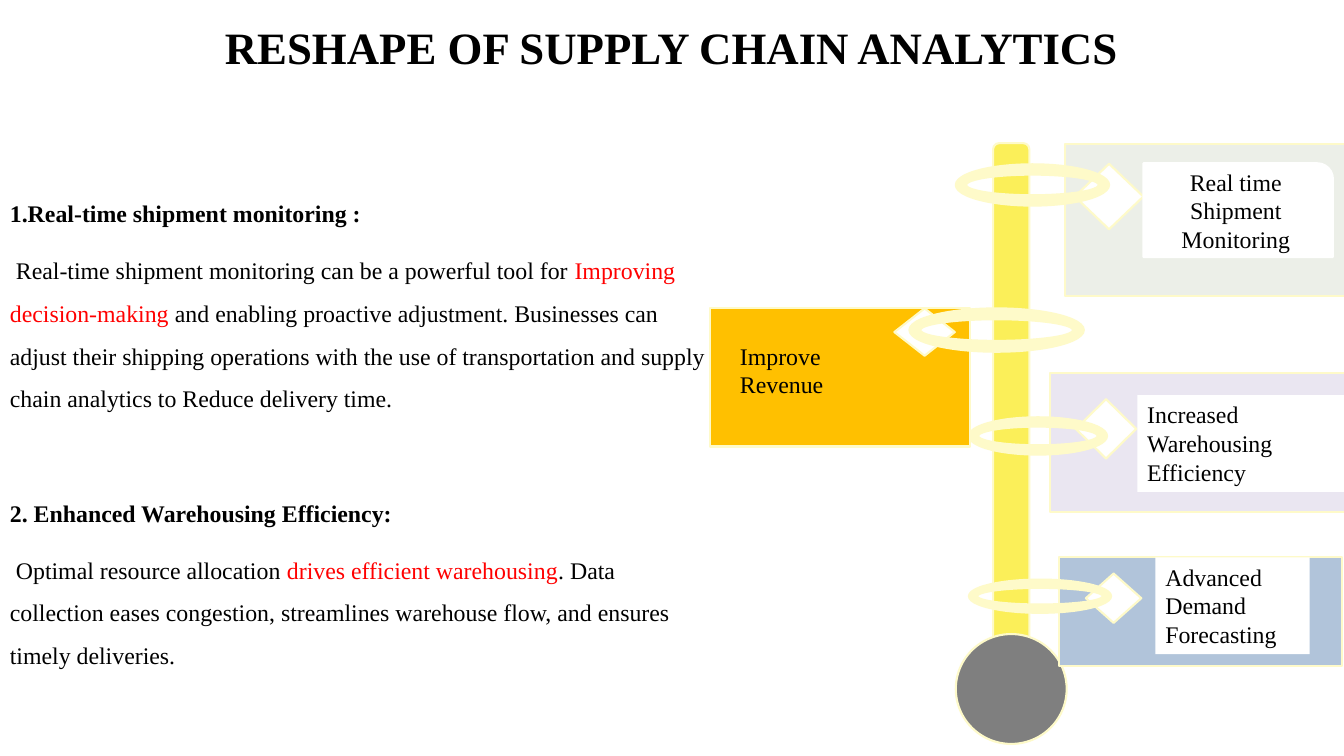
"""Build the supply chain analytics slide with its signpost of benefits."""
from dataclasses import dataclass

from pptx import Presentation
from pptx import util as u
from pptx.dml.color import RGBColor
from pptx.enum import shapes, text


@dataclass(frozen=True)
class Theme:
    font: str = "Times New Roman"
    title_size: int = 32
    text_size: int = 17
    ink: str = "000000"
    accent: str = "FF0000"
    paper: str = "FFFFFF"
    edge: str = "FEFAC9"
    pole: str = "FBEF59"
    base: str = "7F7F7F"
    sage: str = "ECEFE8"
    lilac: str = "EAE6F1"
    blue: str = "B1C4DA"
    amber: str = "FFC000"


theme = Theme()
kinds = shapes.MSO_SHAPE
CELL = u.Inches(0.1)


def cells(*counts):
    return [round(count * CELL) for count in counts]


def paint(shape, fill, line):
    shape.shadow.inherit = False
    for part, tone in ((shape.fill, fill), (shape.line.fill, line)):
        if tone is None:
            part.background()
        else:
            part.solid()
            part.fore_color.rgb = RGBColor.from_string(tone)
    if line is not None:
        shape.line.width = u.Pt(1.5)


deck = Presentation()
deck.slide_width, deck.slide_height = u.Inches(13.33), u.Inches(7.5)
page = deck.slides.add_slide(deck.slide_layouts[5])

title = page.shapes.title
title.left, title.top, title.width, title.height = cells(14.7, 1.8, 103.8, 6.3)
title.text_frame.text = "RESHAPE OF SUPPLY CHAIN ANALYTICS"
title.text_frame.vertical_anchor = text.MSO_ANCHOR.MIDDLE
para = title.text_frame.paragraphs[0]
para.alignment = text.PP_ALIGN.CENTER
para.line_spacing = 0.9
para.font.name, para.font.size, para.font.bold = theme.font, u.Pt(theme.title_size), True
para.font.color.rgb = RGBColor.from_string(theme.ink)

article = [
    (0, True, [("1.Real-time shipment monitoring :", theme.ink)]),
    (10, False, [
        ("Real-time shipment monitoring can be a powerful tool for ", theme.ink),
        ("Improving decision-making ", theme.accent),
        ("and enabling proactive adjustment. Businesses can adjust their shipping "
         "operations with the use of transportation and supply chain analytics to "
         "Reduce delivery time.", theme.ink),
    ]),
    (51, True, [("2. Enhanced Warehousing Efficiency:", theme.ink)]),
    (10, False, [
        ("Optimal resource allocation ", theme.ink),
        ("drives efficient warehousing", theme.accent),
        (". Data collection eases congestion, streamlines warehouse flow, and "
         "ensures timely deliveries.", theme.ink),
    ]),
]
body = page.shapes.add_textbox(*cells(0, 17.8, 71.4, 56.4)).text_frame
body.word_wrap = True
for index, (gap, heading, spans) in enumerate(article):
    para = body.add_paragraph() if index else body.paragraphs[0]
    para.line_spacing = 1.5
    para.space_before = u.Pt(gap)
    if not heading:
        para._p.get_or_add_pPr().set("indent", str(u.Inches(0.06)))
    para.font.name, para.font.size, para.font.bold = theme.font, u.Pt(theme.text_size), heading
    for words, tone in spans:
        span = para.add_run()
        span.text = words
        span.font.color.rgb = RGBColor.from_string(tone)

pole = page.shapes.add_shape(kinds.ROUNDED_RECTANGLE, *cells(98.5, 14.2, 3.6, 54.8))
paint(pole, theme.pole, theme.edge)
base = page.shapes.add_shape(kinds.OVAL, *cells(94.8, 62.9, 11, 10.9))
paint(base, theme.base, theme.edge)

middle, top = text.MSO_ANCHOR.MIDDLE, text.MSO_ANCHOR.TOP
center, left = text.PP_ALIGN.CENTER, text.PP_ALIGN.LEFT
signs = [
    ("Real time Shipment Monitoring", theme.sage, (105.6, 14.3, 27.9, 15.1),
     (110, 19.5, 3.4, 3.25), (94.8, 16.3, 15.2, 4.1),
     kinds.ROUND_1_RECTANGLE, (113.4, 16.2, 18.8, 9.3), theme.paper, theme.paper, middle, center),
    ("Increased Warehousing Efficiency", theme.lilac, (104.1, 37, 29.9, 13.8),
     (109.7, 42.55, 3, 2.95), (96.1, 41.4, 13.7, 3.7),
     kinds.RECTANGLE, (112.8, 39.2, 20.6, 9.6), theme.paper, None, top, left),
    ("Advanced Demand Forecasting", theme.blue, (105, 55.3, 28.1, 10.8),
     (110.45, 59.35, 2.75, 2.45), (96.1, 57.5, 14.1, 3.3),
     kinds.RECTANGLE, (114.6, 55.3, 15.3, 9.6), theme.paper, None, top, left),
    ("Improve Revenue", theme.amber, (70.4, 30.6, 25.8, 13.7),
     (91.7, 32.95, 3, 2.35), (90.2, 30.6, 17.3, 4.3),
     kinds.RECTANGLE, (72.4, 33.4, 17.2, 6.7), None, None, top, left),
]
for words, tone, board, diamond, ring, kind, place, fill, line, anchor, align in signs:
    x, y, wide, high = cells(*board)
    mid_x, mid_y, reach_x, reach_y = cells(*diamond)
    outline = page.shapes.build_freeform(mid_x, mid_y - reach_y)
    outline.add_line_segments(
        [(mid_x - reach_x, mid_y), (mid_x, mid_y + reach_y), (mid_x + reach_x, mid_y)])
    outline.move_to(x, y)
    outline.add_line_segments([(x + wide, y), (x + wide, y + high), (x, y + high)])
    paint(outline.convert_to_shape(), tone, theme.edge)

    hoop = page.shapes.add_shape(kinds.DONUT, *cells(*ring))
    hoop.adjustments[0] = 0.25
    paint(hoop, theme.edge, theme.edge)

    label = page.shapes.add_shape(kind, *cells(*place))
    paint(label, fill, line)
    box = label.text_frame
    box.text, box.word_wrap, box.vertical_anchor = words, True, anchor
    para = box.paragraphs[0]
    para.alignment = align
    para.font.name, para.font.size = theme.font, u.Pt(theme.text_size)
    para.font.color.rgb = RGBColor.from_string(theme.ink)

deck.save("out.pptx")
